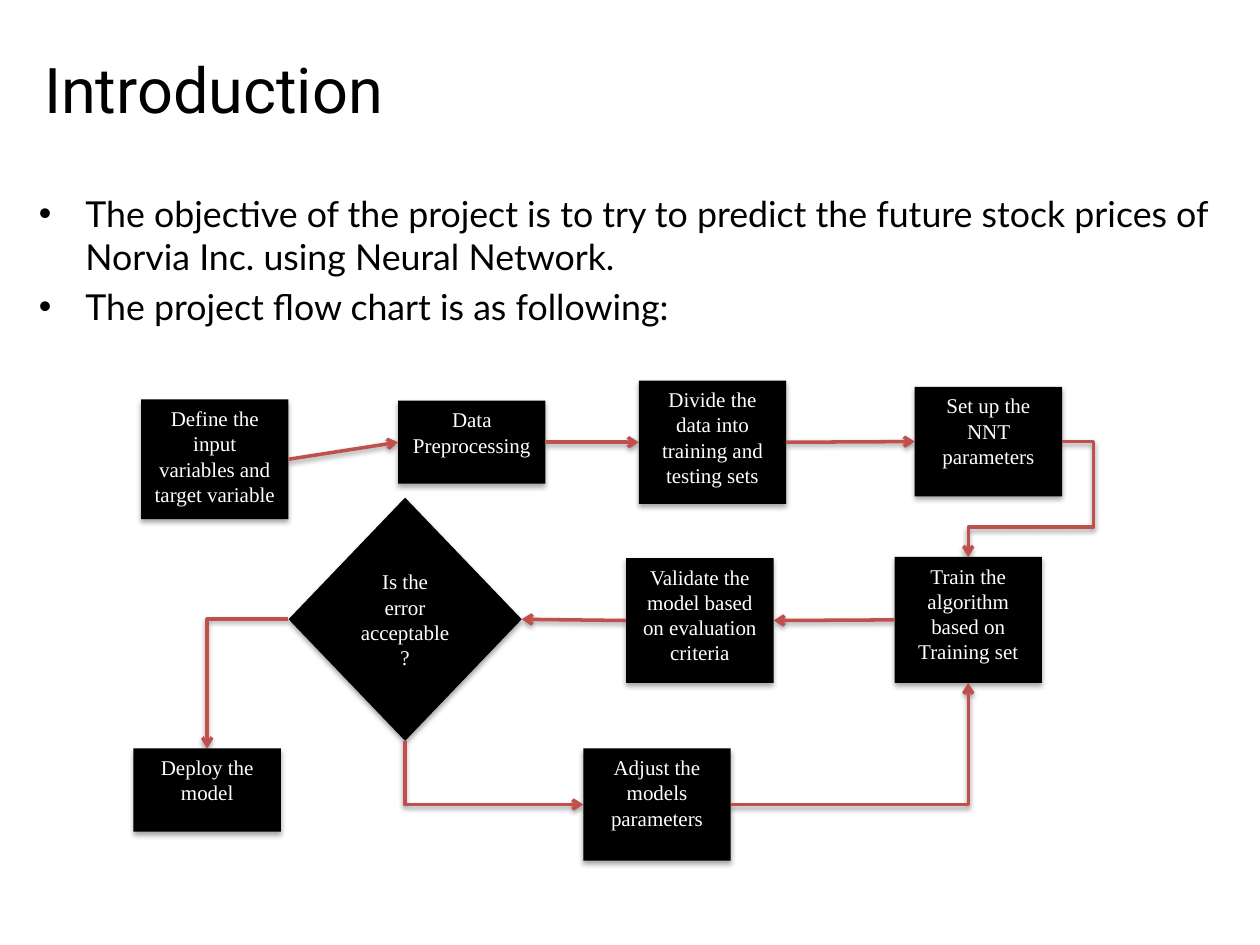
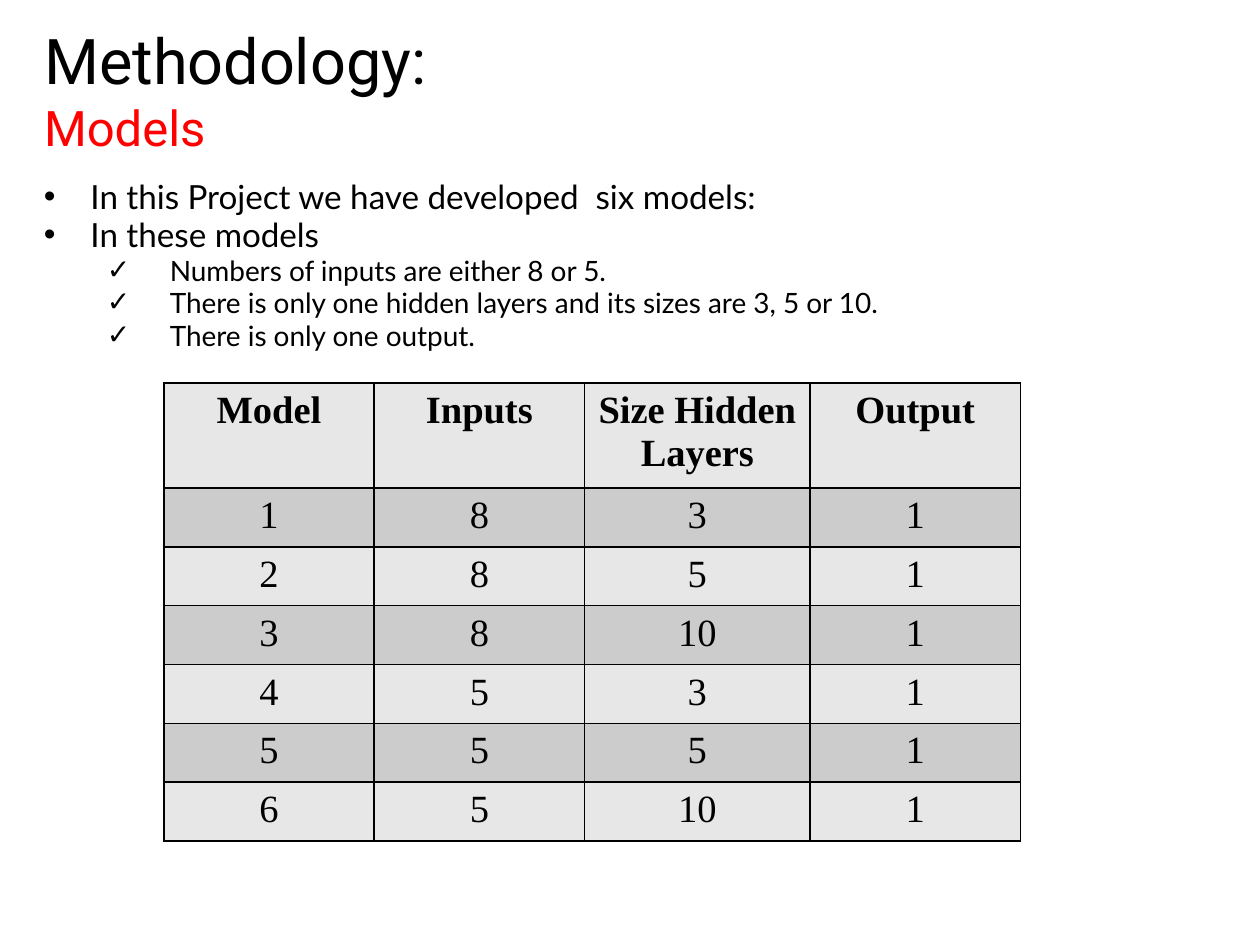
import lxml.etree
import pptx
import pptx.dml.color
import pptx.enum.shapes
import pptx.enum.text
import pptx.oxml.ns
import pptx.util

Inches = pptx.util.Inches
Pt = pptx.util.Pt
ALIGN = pptx.enum.text.PP_ALIGN
ANCHOR = pptx.enum.text.MSO_ANCHOR
SHAPE = pptx.enum.shapes.MSO_SHAPE
CONNECTOR = pptx.enum.shapes.MSO_CONNECTOR

COLOURS = {
    "ink": "000000",
    "paper": "FFFFFF",
    "accent": "FF0000",
    "arrow": "C0504D",
    "light row": "E7E7E7",
    "dark row": "CCCCCC",
}
FONTS = {"title": "Roboto", "body": "Lato", "figure": "Times New Roman"}
TOP, LEFT, BOTTOM, RIGHT = range(4)  # connection sites of a box or diamond


def colour(name):
    return pptx.dml.color.RGBColor.from_string(COLOURS[name])


def add_element(parent, tag, **attributes):
    element = lxml.etree.SubElement(parent, pptx.oxml.ns.qn(tag))
    for name, value in attributes.items():
        element.set(name, str(value))
    return element


def add_shadow(properties, opacity, distance):
    """Give shape properties a soft shadow that falls straight down."""
    effects = properties.find(pptx.oxml.ns.qn("a:effectLst"))
    if effects is None:
        effects = add_element(properties, "a:effectLst")
    shadow = add_element(effects, "a:outerShdw", blurRad=Pt(3.1), dist=Pt(distance),
                         dir=5400000, rotWithShape=0)
    shade = add_element(shadow, "a:srgbClr", val=COLOURS["ink"])
    add_element(shade, "a:alpha", val=opacity * 1000)


class Deck:
    def __init__(self):
        self.presentation = pptx.Presentation()
        self.presentation.slide_width = Inches(10)
        self.presentation.slide_height = Inches(7.5)
        self.slide = None

    def set_font(self, font, family, size, ink="ink", bold=False):
        font.name = FONTS[family]
        font.size = Pt(size)
        font.bold = bold
        font.color.rgb = colour(ink)

    def add_slide(self, title, subtitle=None):
        layout = self.presentation.slide_layouts[5]
        self.slide = self.presentation.slides.add_slide(layout)
        shape = self.slide.shapes.title
        shape.left, shape.top = Inches(0.25), Inches(0.08)
        shape.width, shape.height = Inches(9.5), Inches(1.25)
        frame = shape.text_frame
        frame.auto_size = pptx.enum.text.MSO_AUTO_SIZE.NONE
        frame.vertical_anchor = ANCHOR.MIDDLE
        paragraph = frame.paragraphs[0]
        paragraph.alignment = ALIGN.LEFT
        run = paragraph.add_run()
        run.text = title
        self.set_font(run.font, "title", 36)
        if subtitle:
            paragraph.add_line_break()
            run = paragraph.add_run()
            run.text = subtitle
            self.set_font(run.font, "title", 28, "accent")

    def bullets(self, left, top, height, items, line_spacing=1.0):
        """Add a list; each item is (text, size, mark, text indent, hanging indent)."""
        box = self.slide.shapes.add_textbox(Inches(left), Inches(top), Inches(9.5), Inches(height))
        frame = box.text_frame
        frame.word_wrap = True
        for index, (text, size, mark, indent, hanging) in enumerate(items):
            paragraph = frame.add_paragraph() if index else frame.paragraphs[0]
            paragraph.text = text
            paragraph.line_spacing = line_spacing
            paragraph.space_before = Pt(size * 0.2 if index else 0)
            properties = paragraph._p.get_or_add_pPr()
            properties.set("marL", str(Inches(indent)))
            properties.set("indent", str(-Inches(hanging)))
            add_element(properties, "a:buFont", typeface="Arial")
            add_element(properties, "a:buChar", char=mark)
            self.set_font(paragraph.font, "body", size)

    def node(self, text, left, top, width, height, kind=SHAPE.RECTANGLE):
        shape = self.slide.shapes.add_shape(
            kind, Inches(left), Inches(top), Inches(width), Inches(height))
        shape.shadow.inherit = False
        shape.fill.solid()
        shape.fill.fore_color.rgb = colour("ink")
        shape.line.fill.background()
        add_shadow(shape._element.spPr, 35, 1.8)
        frame = shape.text_frame
        frame.word_wrap = True
        frame.vertical_anchor = ANCHOR.MIDDLE if kind == SHAPE.DIAMOND else ANCHOR.TOP
        paragraph = frame.paragraphs[0]
        paragraph.text = text
        paragraph.alignment = ALIGN.CENTER
        self.set_font(paragraph.font, "figure", 12, "paper")
        return shape

    def arrow(self, start, start_site, end, end_site, bend=None, adjustments=()):
        """Join two nodes; bend names the preset of an elbow route."""
        kind = CONNECTOR.ELBOW if bend else CONNECTOR.STRAIGHT
        connector = self.slide.shapes.add_connector(kind, 0, 0, 0, 0)
        connector.begin_connect(start, start_site)
        connector.end_connect(end, end_site)
        connector.line.color.rgb = colour("arrow")
        connector.line.width = Pt(2)
        properties = connector._element.spPr
        add_element(connector.line._get_or_add_ln(), "a:tailEnd", type="arrow")
        add_shadow(properties, 38, 1.6)
        if bend:
            geometry = properties.find(pptx.oxml.ns.qn("a:prstGeom"))
            geometry.set("prst", bend)
            values = geometry.find(pptx.oxml.ns.qn("a:avLst"))
            for number, value in enumerate(adjustments, 1):
                add_element(values, "a:gd", name=f"adj{number}", fmla=f"val {value}")
        if bend and start_site == BOTTOM:
            self.turn_down_first(connector)

    def turn_down_first(self, connector):
        """Turn an elbow that runs down and right so that it leaves downwards."""
        width, height = connector.width, connector.height
        shift = (width - height) // 2
        connector.left, connector.top = connector.left + shift, connector.top - shift
        connector.width, connector.height = height, width
        transform = connector._element.spPr.find(pptx.oxml.ns.qn("a:xfrm"))
        transform.set("rot", "16200000")
        transform.set("flipH", "1")

    def table(self, left, top, widths, heights, rows):
        shape = self.slide.shapes.add_table(
            len(rows), len(widths), Inches(left), Inches(top),
            Inches(sum(widths)), Inches(sum(heights)))
        table = shape.table
        table.first_row = table.horz_banding = False
        for column, width in zip(table.columns, widths):
            column.width = Inches(width)
        for index, (row, height) in enumerate(zip(table.rows, heights)):
            row.height = Inches(height)
            for cell, value in zip(row.cells, rows[index]):
                paragraph = cell.text_frame.paragraphs[0]
                paragraph.text = str(value)
                paragraph.alignment = ALIGN.CENTER
                self.set_font(paragraph.font, "figure", 22, bold=index == 0)
                self.cell_borders(cell)
                cell.fill.solid()
                cell.fill.fore_color.rgb = colour("dark row" if index % 2 else "light row")

    def cell_borders(self, cell):
        properties = cell._tc.get_or_add_tcPr()
        for side in ("a:lnL", "a:lnR", "a:lnT", "a:lnB"):
            line = add_element(properties, side, w=Pt(1))
            add_element(add_element(line, "a:solidFill"), "a:srgbClr", val=COLOURS["ink"])


def introduction(deck):
    deck.add_slide("Introduction")
    deck.bullets(0.21, 1.47, 1.42, [
        (text, 20.4, "•", 0.37, 0.37) for text in (
            "The objective of the project is to try to predict the future stock prices of "
            "Norvia Inc. using Neural Network.",
            "The project flow chart is as following:",
        )
    ])
    width = 1.17
    define = deck.node("Define the input variables and target variable",
                       1.12, 3.17, width, 0.95)
    prepare = deck.node("Data Preprocessing", 3.16, 3.18, width, 0.66)
    divide = deck.node("Divide the data into training and testing sets",
                       5.07, 3.02, width, 0.98)
    set_up = deck.node("Set up the NNT parameters", 7.26, 3.07, width, 0.87)
    train = deck.node("Train the algorithm based on Training set", 7.1, 4.42, width, 1)
    validate = deck.node("Validate the model based on evaluation criteria",
                         4.97, 4.43, width, 0.99)
    decide = deck.node("Is the error acceptable?", 2.29, 3.95, 1.85, 1.93, SHAPE.DIAMOND)
    deploy = deck.node("Deploy the model", 1.06, 5.94, width, 0.66)
    adjust = deck.node("Adjust the models parameters", 4.63, 5.94, width, 0.89)

    for start, end in ((define, prepare), (prepare, divide), (divide, set_up)):
        deck.arrow(start, RIGHT, end, LEFT)
    for start, end in ((train, validate), (validate, decide)):
        deck.arrow(start, LEFT, end, RIGHT)
    deck.arrow(set_up, RIGHT, train, TOP, "bentConnector4", (-33400, 74100))
    deck.arrow(decide, LEFT, deploy, TOP, "bentConnector2")
    deck.arrow(decide, BOTTOM, adjust, LEFT, "bentConnector2")
    deck.arrow(adjust, RIGHT, train, BOTTOM, "bentConnector2")


def methodology(deck):
    deck.add_slide("Methodology:", "Models")
    points = ("In this Project we have developed  six models:", "In these models")
    details = (
        "Numbers of inputs are either 8 or 5.",
        "There is only one hidden layers and its sizes are 3, 5 or 10.",
        "There is only one output.",
    )
    deck.bullets(
        0.25, 1.41, 1.5,
        [(text, 19, "•", 0.37, 0.37) for text in points]
        + [(text, 16, "✓", 1, 0.5) for text in details],
        line_spacing=0.8)
    models = [(inputs, size, 1) for inputs in (8, 5) for size in (3, 5, 10)]
    rows = [("Model", "Inputs", "Size Hidden Layers", "Output")]
    rows += [(number, *model) for number, model in enumerate(models, 1)]
    deck.table(1.3, 3.04, [1.67, 1.67, 1.79, 1.67], [0.78] + [0.44] * len(models), rows)


def main():
    deck = Deck()
    introduction(deck)
    methodology(deck)
    deck.presentation.save("out.pptx")


if __name__ == "__main__":
    main()
